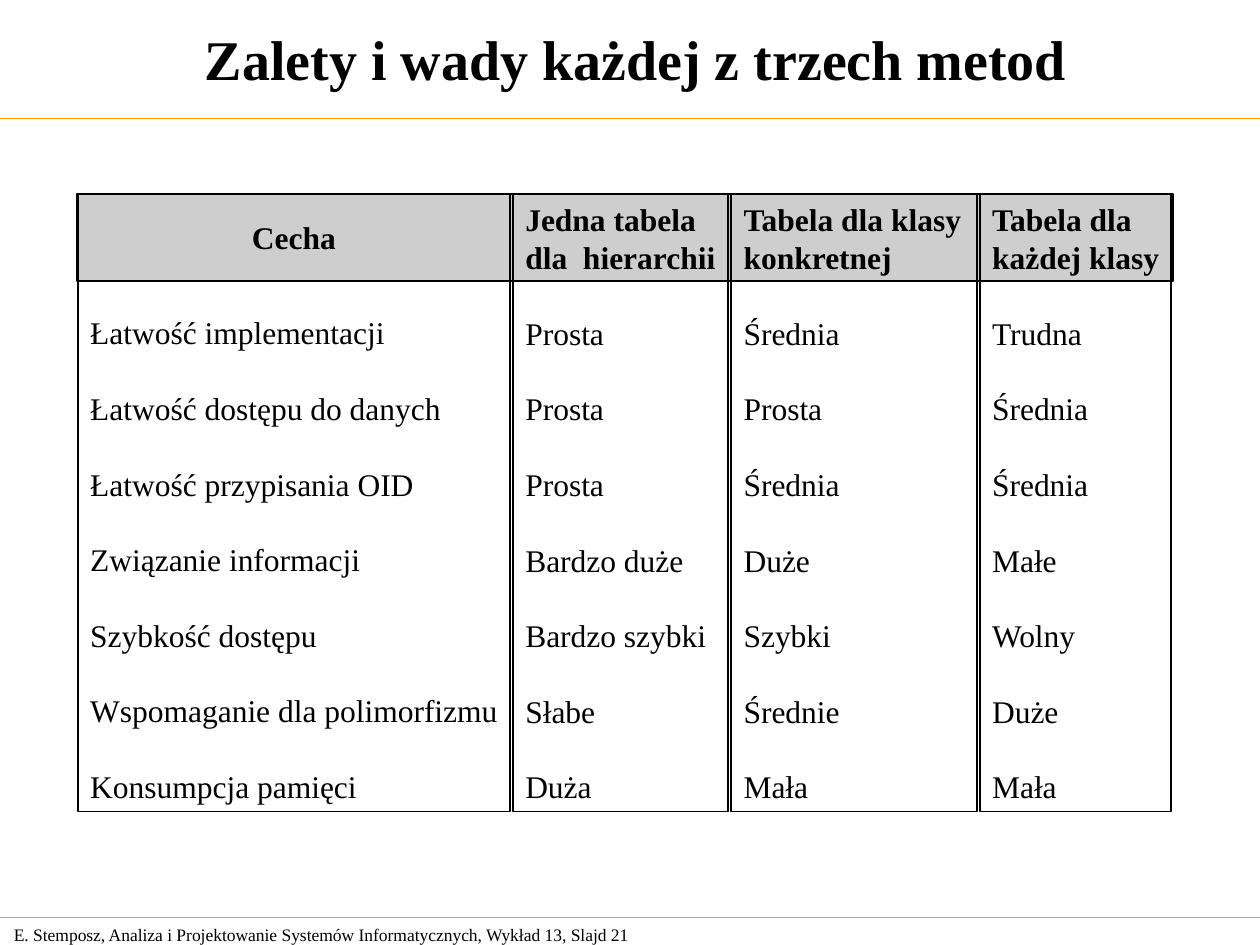
from lxml.etree import SubElement
from pptx import Presentation
from pptx.dml.color import RGBColor
from pptx.enum.shapes import MSO_CONNECTOR, MSO_SHAPE
from pptx.enum.text import MSO_ANCHOR, PP_ALIGN
from pptx.oxml.ns import qn
from pptx.util import Cm, Pt

BLACK = RGBColor(0x00, 0x00, 0x00)
GRAY = RGBColor(0xCE, 0xCE, 0xCE)
ORANGE = RGBColor(0xFF, 0x99, 0x00)

SLIDE_WIDTH, SLIDE_HEIGHT = 25.4, 19.05
TABLE_TOP, TABLE_HEIGHT = 3.91, 12.45
COLUMN_GAP = 0.06
LINE_HEIGHT = Pt(21.6)

# Column width, header lines, values
COLUMNS = [
    (8.71, [], ["Łatwość implementacji", "Łatwość dostępu do danych",
                "Łatwość przypisania OID", "Związanie informacji", "Szybkość dostępu",
                "Wspomaganie dla polimorfizmu", "Konsumpcja pamięci"]),
    (4.34, ["Jedna tabela", "dla  hierarchii"],
     ["Prosta", "Prosta", "Prosta", "Bardzo duże", "Bardzo szybki", "Słabe", "Duża"]),
    (4.95, ["Tabela dla klasy", "konkretnej"],
     ["Średnia", "Prosta", "Średnia", "Duże", "Szybki", "Średnie", "Mała"]),
    (3.86, ["Tabela dla", "każdej klasy"],
     ["Trudna", "Średnia", "Średnia", "Małe", "Wolny", "Duże", "Mała"]),
]


class SlideBuilder:
    font_name = "Times New Roman"
    text_size = 18

    def __init__(self, slide):
        self.slide = slide

    def add_run(self, paragraph, text, size=text_size, bold=False):
        run = paragraph.add_run()
        run.text = text
        run.font.name = self.font_name
        run.font.size = Pt(size)
        run.font.bold = bold
        run.font.color.rgb = BLACK

    def set_frame(self, frame, anchor, top=0.13):
        frame.word_wrap = True
        frame.vertical_anchor = anchor
        frame.margin_left, frame.margin_right = Cm(0.25), Cm(0)
        frame.margin_top, frame.margin_bottom = Cm(top), Cm(0.13)

    def label(self, left, top, width, height, text, size=text_size, bold=False,
              alignment=PP_ALIGN.LEFT):
        shape = self.slide.shapes.add_textbox(Cm(left), Cm(top), Cm(width), Cm(height))
        self.set_frame(shape.text_frame, MSO_ANCHOR.MIDDLE)
        paragraph = shape.text_frame.paragraphs[0]
        paragraph.alignment = alignment
        self.add_run(paragraph, text, size, bold)

    def rule(self, top):
        line = self.slide.shapes.add_connector(
            MSO_CONNECTOR.STRAIGHT, Cm(0), Cm(top), Cm(SLIDE_WIDTH), Cm(top))
        line.line.color.rgb = ORANGE
        line.line.width = Pt(0.75)
        SubElement(line._element.spPr, qn("a:effectLst"))

    def box(self, left, top, width, height, fill=None):
        shape = self.slide.shapes.add_shape(
            MSO_SHAPE.RECTANGLE, Cm(left), Cm(top), Cm(width), Cm(height))
        shape.shadow.inherit = False
        if fill is None:
            shape.fill.background()
        else:
            shape.fill.solid()
            shape.fill.fore_color.rgb = fill
        shape.line.color.rgb = BLACK
        shape.line.width = Pt(1)
        return shape

    def column(self, left, width, header, values):
        frame = self.box(left, TABLE_TOP, width, TABLE_HEIGHT).text_frame
        # Without header lines the values start three lines lower
        self.set_frame(frame, MSO_ANCHOR.TOP, top=0.13 if header else 2.41)
        for index, text in enumerate(header + values):
            is_header = index < len(header)
            paragraph = frame.paragraphs[0] if index == 0 else frame.add_paragraph()
            paragraph.alignment = PP_ALIGN.LEFT
            paragraph.line_spacing = LINE_HEIGHT
            if index > 0 and not is_header:
                paragraph.space_before = LINE_HEIGHT
            self.add_run(paragraph, text, bold=is_header)


def main():
    presentation = Presentation()
    presentation.slide_width = Cm(SLIDE_WIDTH)
    presentation.slide_height = Cm(SLIDE_HEIGHT)
    builder = SlideBuilder(presentation.slides.add_slide(presentation.slide_layouts[6]))

    # Footer and rules
    builder.label(0.03, 18.49, 13.5, 0.69,
                  "E. Stemposz, Analiza i Projektowanie Systemów Informatycznych, "
                  "Wykład 13, Slajd 21", size=10)
    for top in (2.39, 18.49):
        builder.rule(top)

    # Header band and title
    builder.box(1.55, TABLE_TOP, 22.1, 1.75, GRAY)
    builder.label(0, 0, SLIDE_WIDTH, 2.34, "Zalety i wady każdej z trzech metod",
                  size=32, bold=True, alignment=PP_ALIGN.CENTER)

    # Comparison columns
    left = 1.57
    for width, header, values in COLUMNS:
        builder.column(left, width, header, values)
        left += width + COLUMN_GAP
    builder.label(4.83, 4.27, 2.2, 1.02, "Cecha", bold=True)

    presentation.save("out.pptx")


if __name__ == "__main__":
    main()
